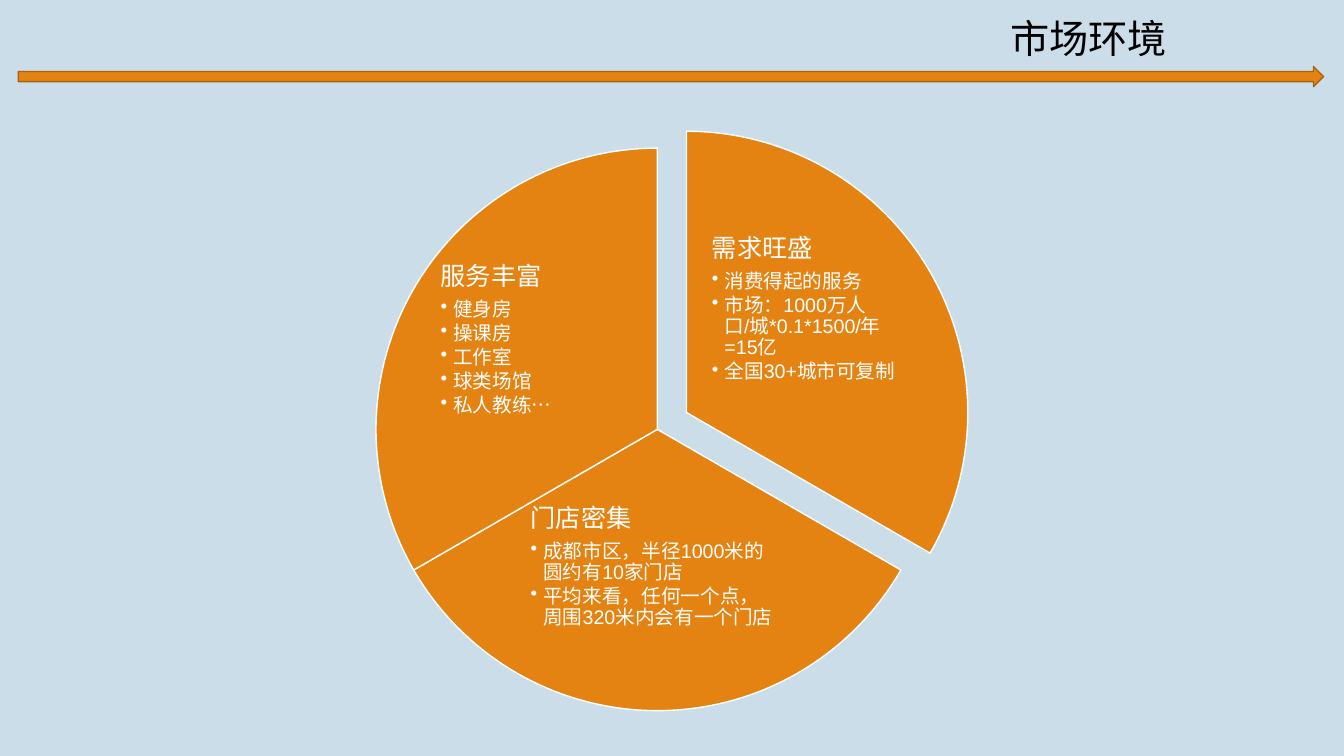
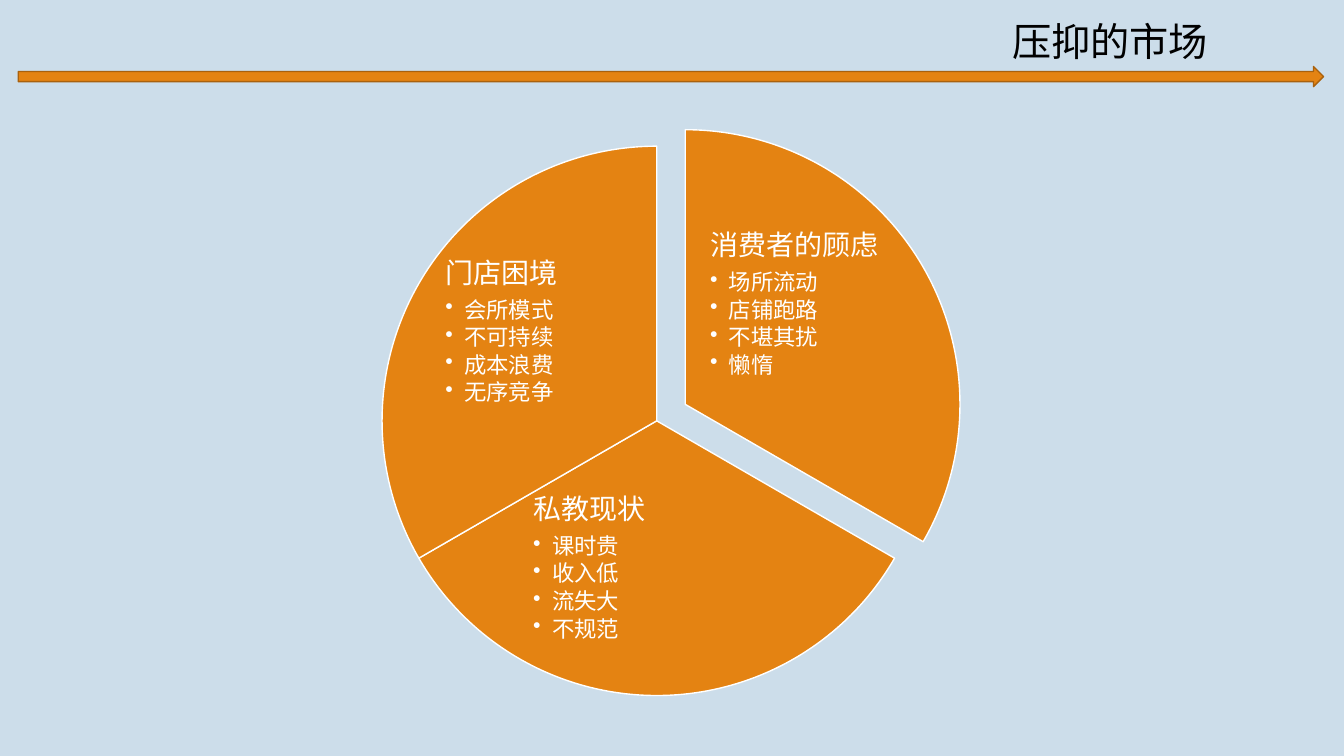
import math
import pptx
import pptx.util
import pptx.dml.color
import pptx.enum.shapes
import pptx.enum.text
import pptx.oxml.ns
import lxml.etree

Pt = pptx.util.Pt
RGBColor = pptx.dml.color.RGBColor
MSO_SHAPE = pptx.enum.shapes.MSO_SHAPE

BACKGROUND = RGBColor(0xCC, 0xDD, 0xEA)
ORANGE = RGBColor(0xE4, 0x83, 0x12)
DARK_ORANGE = RGBColor(0xA9, 0x61, 0x0D)
WHITE = RGBColor(0xFF, 0xFF, 0xFF)
BLACK = RGBColor(0, 0, 0)
FONT = "Arial"

SLIDES = [
    {
        "title": "市场环境", "title_box": (714.3, 6.5, 127.4, 41),
        "wheel": (268.6, 105.8, 401.8),
        "heading_size": 18, "bullet_size": 14, "indent": 9,
        "sectors": [
            ("需求旺盛", ["消费得起的服务", "市场：1000万人口/城*0.1*1500/年=15亿", "全国30+城市可复制"]),
            ("门店密集", ["成都市区，半径1000米的圆约有10家门店", "平均来看，任何一个点，周围320米内会有一个门店"]),
            ("服务丰富", ["健身房", "操课房", "工作室", "球类场馆", "私人教练…"]),
        ],
    },
    {
        "title": "压抑的市场", "title_box": (715.7, 8.6, 157.7, 41),
        "wheel": (272.9, 104.4, 392.4),
        "heading_size": 20, "bullet_size": 16, "indent": 13.5,
        "sectors": [
            ("消费者的顾虑", ["场所流动", "店铺跑路", "不堪其扰", "懒惰"]),
            ("私教现状", ["课时贵", "收入低", "流失大", "不规范"]),
            ("门店困境", ["会所模式", "不可持续", "成本浪费", "无序竞争"]),
        ],
    },
]

SECTOR_ANGLES = [(270, 30), (30, 150), (150, 270)]
SECTOR_SHIFTS = [0.06, 0, 0]
LABEL_BOXES = [(0.54, 0.18, 0.34, 0.33), (0.27, 0.63, 0.45, 0.31), (0.11, 0.2, 0.34, 0.33)]
ANGLE_UNIT = 0.6


def points(*lengths):
    return [Pt(length) for length in lengths]


def write_paragraph(paragraph, text, size, color, spacing=1.0, after=0, indent=None):
    paragraph.alignment = pptx.enum.text.PP_ALIGN.LEFT
    paragraph.line_spacing = spacing
    paragraph.space_before = Pt(0)
    paragraph.space_after = Pt(after * size)
    run = paragraph.add_run()
    run.text = text
    run.font.name = FONT
    run.font.size = Pt(size)
    run.font.color.rgb = color
    if indent:
        paragraph.level = 1
        properties = paragraph._p.get_or_add_pPr()
        properties.set("marL", str(Pt(indent)))
        properties.set("indent", str(-Pt(indent)))
        bullet = lxml.etree.SubElement(properties, pptx.oxml.ns.qn("a:buChar"))
        bullet.set("char", "•")


def add_filled_shape(shapes, kind, box, line_color):
    shape = shapes.add_shape(kind, *points(*box))
    shape.shadow.inherit = False
    shape.fill.solid()
    shape.fill.fore_color.rgb = ORANGE
    shape.line.color.rgb = line_color
    shape.line.width = Pt(1)
    return shape


def add_header(slide, content):
    title = slide.shapes.title
    title.left, title.top, title.width, title.height = points(*content["title_box"])
    frame = title.text_frame
    frame.word_wrap = False
    frame.auto_size = pptx.enum.text.MSO_AUTO_SIZE.SHAPE_TO_FIT_TEXT
    frame.vertical_anchor = pptx.enum.text.MSO_ANCHOR.TOP
    write_paragraph(frame.paragraphs[0], content["title"], 28, BLACK)
    add_filled_shape(slide.shapes, MSO_SHAPE.RIGHT_ARROW, (13, 47.5, 932.4, 14.4), DARK_ORANGE)


def add_label(shapes, box, sector, content):
    heading, bullets = sector
    frame = shapes.add_textbox(*points(*box)).text_frame
    frame.word_wrap = True
    frame.margin_left = frame.margin_right = frame.margin_top = frame.margin_bottom = Pt(2)
    write_paragraph(frame.paragraphs[0], heading, content["heading_size"], WHITE,
                    spacing=0.9, after=0.35)
    for bullet in bullets:
        write_paragraph(frame.add_paragraph(), bullet, content["bullet_size"], WHITE,
                        spacing=0.9, after=0.15, indent=content["indent"])


def add_wheel(slide, content):
    shapes = slide.shapes.add_group_shape().shapes
    wheel_left, wheel_top, diameter = content["wheel"]
    for sector, (start, end), shift, label in zip(
            content["sectors"], SECTOR_ANGLES, SECTOR_SHIFTS, LABEL_BOXES):
        middle = math.radians(start + (end - start) % 360 / 2)
        left = wheel_left + shift * diameter * math.cos(middle)
        top = wheel_top + shift * diameter * math.sin(middle)
        pie = add_filled_shape(shapes, MSO_SHAPE.PIE, (left, top, diameter, diameter), WHITE)
        pie.adjustments[0] = start * ANGLE_UNIT
        pie.adjustments[1] = end * ANGLE_UNIT
        x, y, width, height = [part * diameter for part in label]
        add_label(shapes, (left + x, top + y, width, height), sector, content)


presentation = pptx.Presentation()
presentation.slide_width, presentation.slide_height = points(960, 540)
master_fill = presentation.slide_master.background.fill
master_fill.solid()
master_fill.fore_color.rgb = BACKGROUND
title_only = presentation.slide_layouts.get_by_name("Title Only")

for content in SLIDES:
    slide = presentation.slides.add_slide(title_only)
    add_header(slide, content)
    add_wheel(slide, content)

presentation.save("out.pptx")
